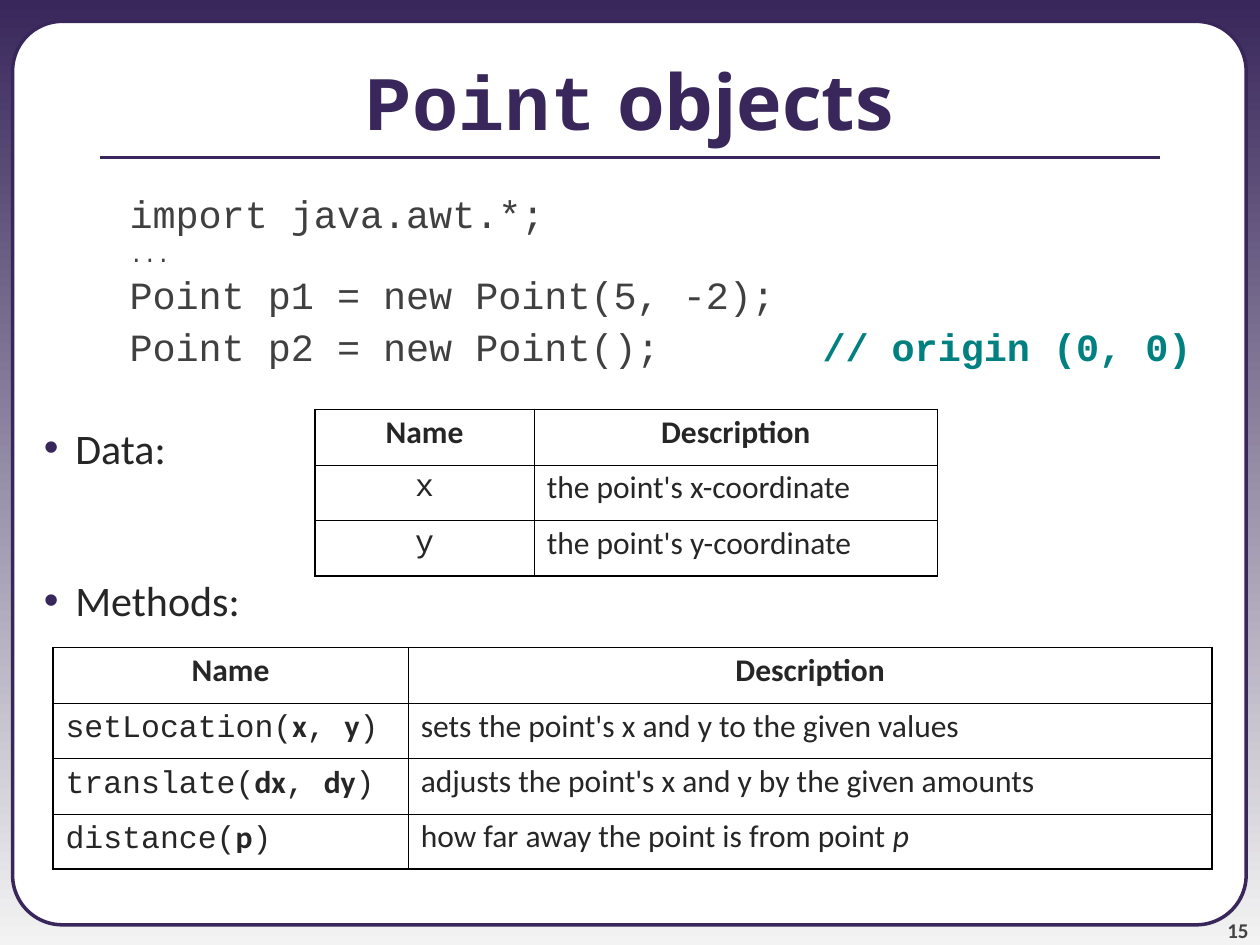
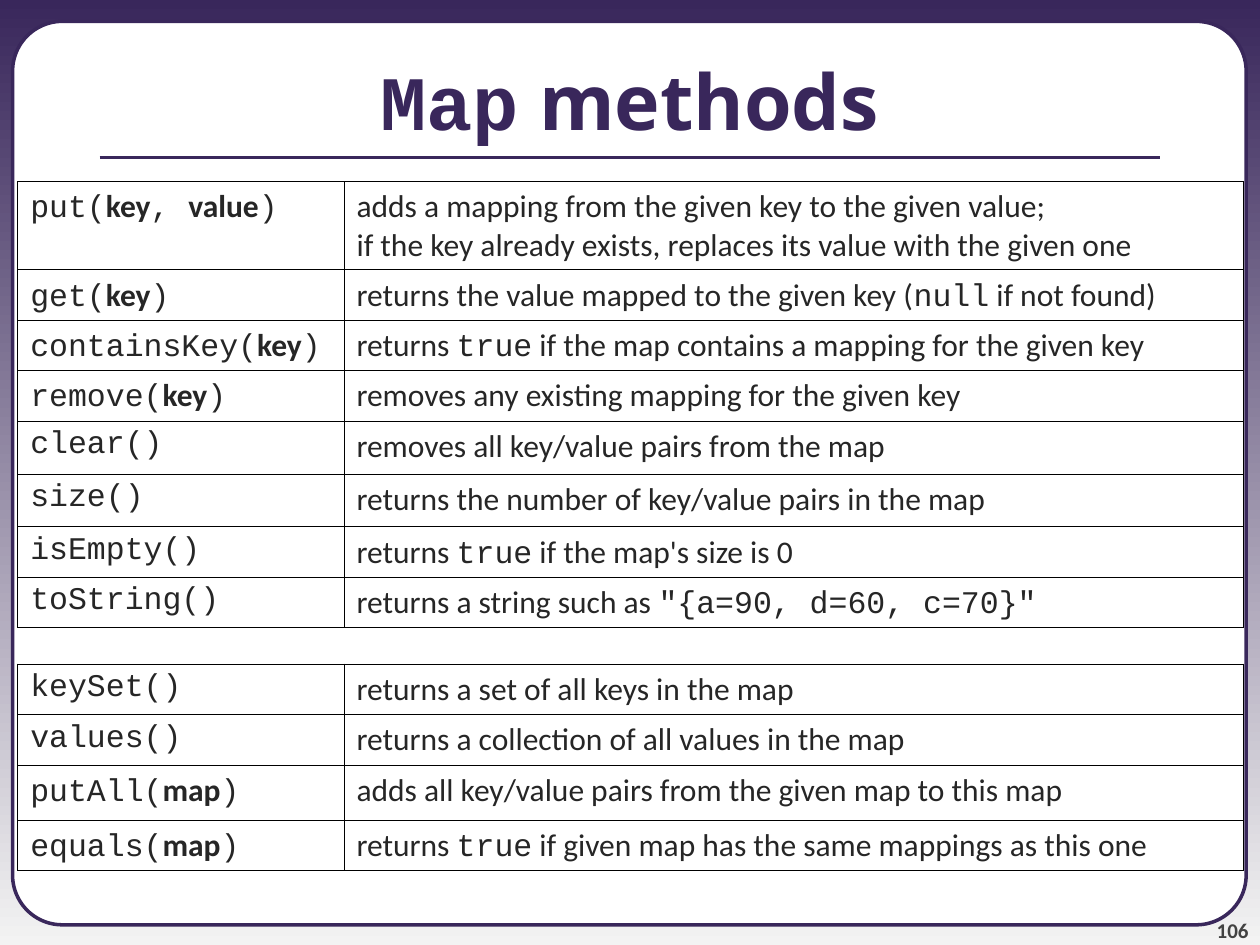
"""Build two slides on Java Point objects and Map methods."""
from lxml.etree import SubElement as Sub
from pptx import Presentation
from pptx.dml.color import RGBColor as RGB
from pptx.enum.shapes import MSO_CONNECTOR as Link, MSO_SHAPE as Shape
from pptx.enum.text import MSO_ANCHOR as Anchor, PP_ALIGN as Align
from pptx.oxml.ns import qn
from pptx.util import Inches, Pt

HUES = {"brand": "39275B", "pale": "F3F3F3", "paper": "FFFFFF", "text": "262626",
        "code": "404040", "note": "008080", "page": "424242", "rule": "000000"}
SANS, MONO, HEAD = "Calibri", "Courier New", "Open Sans"
THIN, THICK = 0.45, 1.08

# In texts, `x` is code, ^x^ is bold and ~x~ is italic.
CODE = [("import java.awt.*;", 22, ""),
        ("...", 13, ""),
        ("Point p1 = new Point(5, -2);", 22, ""),
        ("Point p2 = new Point();", 22, "// origin (0, 0)")]
LABELS = [("Data:", 0), ("Methods:", 58.5)]
TOP = ("Name", "Description")
DATA = [("x", "the point's x-coordinate"),
        ("y", "the point's y-coordinate")]
POINT = [("setLocation(x, y)", "sets the point's x and y to the given values"),
         ("translate(dx, dy)", "adjusts the point's x and y by the given amounts"),
         ("distance(p)", "how far away the point is from point ~p~")]
MAP = [("put(key, value)", "adds a mapping from the given key to the given value;\n"
        "if the key already exists, replaces its value with the given one"),
       ("get(key)", "returns the value mapped to the given key (`null` if not found)"),
       ("containsKey(key)", "returns `true` if the map contains a mapping for the given key"),
       ("remove(key)", "removes any existing mapping for the given key"),
       ("clear()", "removes all key/value pairs from the map"),
       ("size()", "returns the number of key/value pairs in the map"),
       ("isEmpty()", "returns `true` if the map's size is 0"),
       ("toString()", 'returns a string such as `"{a=90, d=60, c=70}"`')]
BULK = [("keySet()", "returns a set of all keys in the map"),
        ("values()", "returns a collection of all values in the map"),
        ("putAll(map)", "adds all key/value pairs from the given map to this map"),
        ("equals(map)", "returns `true` if given map has the same mappings as this one")]


def hue(name):
    return RGB.from_string(HUES[name])


def put(par, text, size=18, font=SANS, color="text", bold=False):
    for row, line in enumerate(text.split("\n")):
        if row:
            par.add_line_break()
        for code, part in enumerate(line.split("`")):
            for strong, word in enumerate(part.split("^")):
                for slant, bit in enumerate(word.split("~")):
                    if not bit:
                        continue
                    run = par.add_run()
                    run.text = bit
                    face = run.font
                    face.name = MONO if code % 2 else font
                    face.size, face.color.rgb = Pt(size), hue(color)
                    face.bold, face.italic = bold or strong % 2 == 1, slant % 2 == 1


def sign(call):
    """Mark up a method call: code outside, bold arguments."""
    if "(" not in call:
        return f"`{call}`"
    name, args = call[:-1].split("(")
    if not args:
        return f"`{call}`"
    return f"`{name}(`" + "`, `".join(f"^{arg}^" for arg in args.split(", ")) + "`)`"


def box(slide, x, y, w, h, pad=True):
    frame = slide.shapes.add_textbox(*map(Inches, (x, y, w, h))).text_frame
    frame.word_wrap = True
    if not pad:
        frame.margin_left = frame.margin_right = frame.margin_top = frame.margin_bottom = 0
    return frame


def lines(frame, items):
    """Yield a paragraph of the frame for each item."""
    for spot, item in enumerate(items):
        yield (frame.add_paragraph() if spot else frame.paragraphs[0]), item


def edge(cell, sides):
    props = cell._tc.get_or_add_tcPr()
    for side, width in sides:
        line = Sub(props, qn(f"a:ln{side}"), w=str(Pt(width)))
        Sub(Sub(line, qn("a:solidFill")), qn("a:srgbClr"), val=HUES["rule"])
    cell.fill.background()


def grid(slide, x, y, cols, highs, rows, head=None, outer=THIN, gap=1, mid=False):
    rows = [head] * bool(head) + rows
    table = slide.shapes.add_table(len(rows), len(cols), Inches(x), Inches(y),
                                   Inches(sum(cols)), Inches(sum(highs))).table
    table.first_row = table.horz_banding = False
    for col, wide in zip(table.columns, cols):
        col.width = Inches(wide)
    for r, (row, high) in enumerate(zip(rows, highs)):
        table.rows[r].height = Inches(high)
        top = bool(head) and r == 0
        for c, text in enumerate(row):
            cell = table.cell(r, c)
            ends = (("L", c == 0), ("R", c == len(cols) - 1),
                    ("T", r == 0), ("B", r == len(rows) - 1))
            edge(cell, [(side, outer if out else THIN) for side, out in ends])
            par = cell.text_frame.paragraphs[0]
            par.line_spacing = gap
            par.alignment = Align.CENTER if top or (mid and c == 0) else Align.LEFT
            put(par, text if top or c else sign(text), bold=top)


def page(deck, title, number):
    slide = deck.slides.add_slide(deck.slide_layouts[5])
    head = slide.shapes.title
    card = slide.shapes.add_shape(Shape.ROUNDED_RECTANGLE,
                                  *map(Inches, (0.1, 0.17, 9.79, 7.17)))
    card.adjustments[0] = 0.055
    card.shadow.inherit = False
    card.fill.solid()
    card.fill.fore_color.rgb = hue("paper")
    card.line.color.rgb, card.line.width = hue("brand"), Pt(2)
    head.element.addprevious(card.element)

    rule = slide.shapes.add_connector(Link.STRAIGHT, *map(Inches, (0.79, 1.25, 9.21, 1.25)))
    rule.line.color.rgb, rule.line.width = hue("brand"), Pt(2.25)
    Sub(rule.element.spPr, qn("a:effectLst"))

    head.left, head.top, head.width, head.height = map(Inches, (0, 0.17, 10, 1.25))
    head.text_frame.vertical_anchor = Anchor.MIDDLE
    par = head.text_frame.paragraphs[0]
    par.alignment = Align.CENTER
    put(par, title, size=44, font=HEAD, color="brand", bold=True)

    foot = box(slide, 9.08, 7.08, 0.83, 0.4, pad=False)
    foot.vertical_anchor = Anchor.BOTTOM
    foot.paragraphs[0].alignment = Align.RIGHT
    put(foot.paragraphs[0], number, size=12, color="page", bold=True)
    return slide


def points(deck):
    slide = page(deck, "`Point` objects", "15")
    for par, (text, size, note) in lines(box(slide, 0.93, 1.5, 9.07, 1.5), CODE):
        if note:
            tabs = Sub(par._p.get_or_add_pPr(), qn("a:tabLst"))
            Sub(tabs, qn("a:tab"), pos=str(Inches(5.5)), algn="l")
        par.line_spacing = 0.9
        if text != CODE[0][0]:
            par.space_before = Pt(size / 4)
        put(par, text, size=size, font=MONO, color="code")
        if note:
            put(par, "\t" + note, size=size, font=MONO, color="note", bold=True)

    for par, (text, space) in lines(box(slide, 0, 3.3, 2.4, 1.75), LABELS):
        props = par._p.get_or_add_pPr()
        props.set("marL", str(Inches(0.5)))
        props.set("indent", str(Inches(-0.25)))
        Sub(Sub(props, qn("a:buClr")), qn("a:srgbClr"), val=HUES["brand"])
        Sub(props, qn("a:buFont"), typeface="Arial")
        Sub(props, qn("a:buChar"), char="•")
        if space:
            par.space_before = Pt(space)
        put(par, text, size=24)

    look = {"head": TOP, "outer": THICK, "gap": 0.9}
    grid(slide, 0.42, 5.14, (2.82, 6.38), [0.44] * 4, POINT, **look)
    grid(slide, 2.5, 3.25, (1.74, 3.2), [0.44] * 3, DATA, mid=True, **look)


def maps(deck):
    slide = page(deck, "`Map` methods", "106")
    cols = (2.59, 7.14)
    grid(slide, 0.14, 1.44, cols, [0.7, 0.4, 0.4, 0.4, 0.42, 0.42, 0.4, 0.4], MAP)
    grid(slide, 0.14, 5.27, cols, [0.4, 0.4, 0.44, 0.4], BULK)


def main():
    deck = Presentation()
    deck.slide_width, deck.slide_height = Inches(10), Inches(7.5)
    fill = deck.slide_master.background.fill
    fill.gradient()
    fill.gradient_angle = 270
    for stop, name in zip(fill.gradient_stops, ("brand", "pale")):
        stop.color.rgb = hue(name)
    points(deck)
    maps(deck)
    deck.save("out.pptx")


if __name__ == "__main__":
    main()
